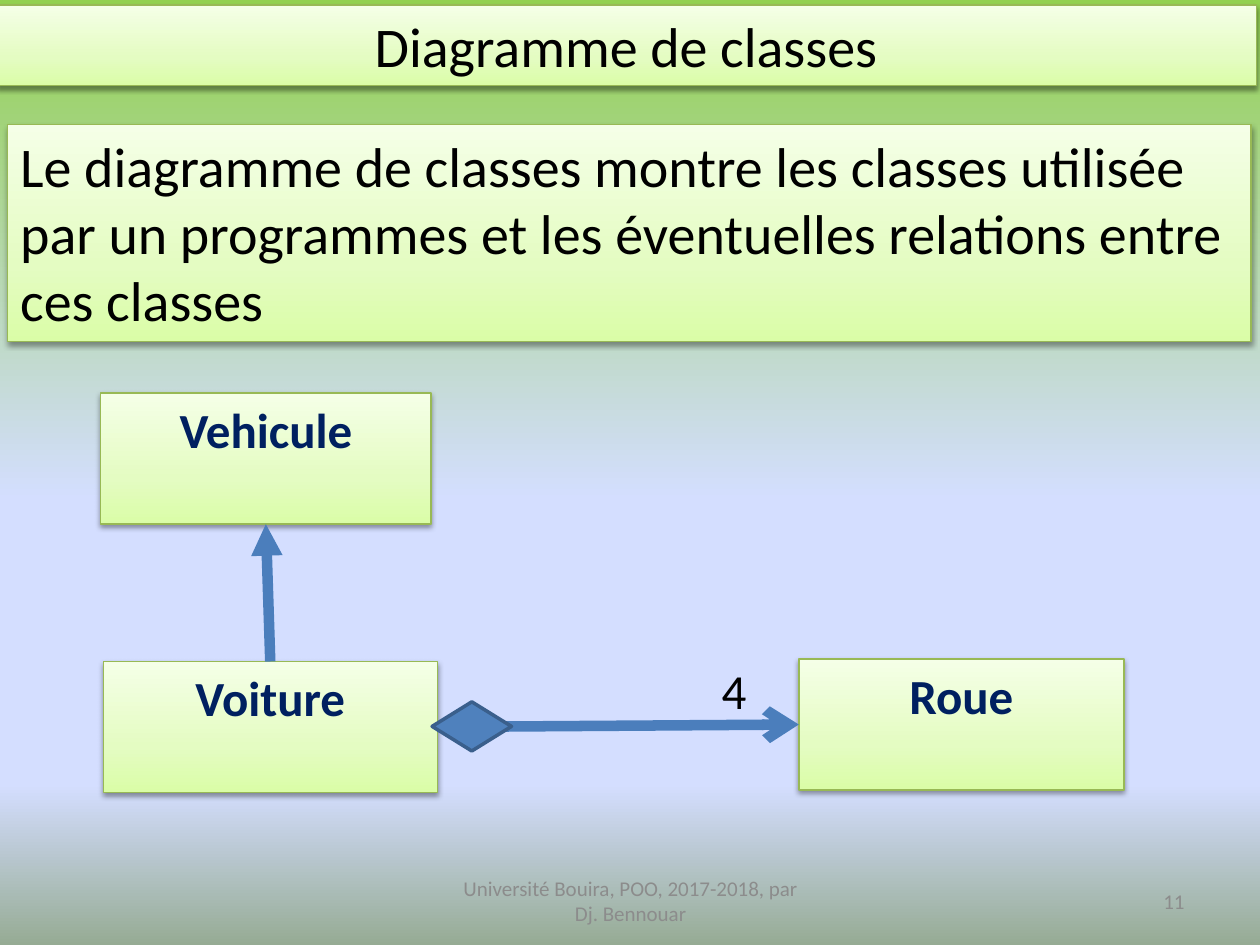
from dataclasses import dataclass

from lxml.etree import SubElement
from pptx import Presentation
from pptx.dml.color import RGBColor
from pptx.enum.shapes import MSO_CONNECTOR as Link, MSO_SHAPE as Preset
from pptx.enum.text import MSO_ANCHOR as Anchor, MSO_AUTO_SIZE as AutoSize, PP_ALIGN as Align
from pptx.oxml.ns import qn
from pptx.util import Inches, Pt


@dataclass(frozen=True)
class Theme:
    font: str = "Calibri"
    ink: str = "000000"
    class_ink: str = "002060"
    muted: str = "8C8C8C"
    panel_line: str = "98B955"
    link: str = "4B7EBC"
    diamond: str = "4F81BD"
    diamond_line: str = "3A5F8C"
    heading_size: int = 32
    class_size: int = 28
    footer_size: int = 12
    panel: tuple = ((0, "F5FFE7"), (65, "E4FCC2"), (100, "DAFDA7"))
    backdrop: tuple = ((0, "92D050"), (53, "D4DEFF"), (83, "D4DEFF"), (100, "96AB94"))


@dataclass(frozen=True)
class Area:
    left: float
    top: float
    width: float
    height: float

    def lengths(self) -> tuple:
        return tuple(Inches(v) for v in (self.left, self.top, self.width, self.height))


@dataclass(frozen=True)
class ClassBox:
    name: str
    area: Area


THEME = Theme()
CLASSES = (
    ClassBox("Roue", Area(6.34, 5.23, 2.58, 1.04)),
    ClassBox("Vehicule", Area(0.8, 3.12, 2.62, 1.04)),
    ClassBox("Voiture", Area(0.82, 5.25, 2.65, 1.04)),
)


def rgb(color: str) -> RGBColor:
    return RGBColor.from_string(color)


def paint_gradient(fill, element, stops: tuple) -> None:
    fill.gradient()
    fill.gradient_angle = 270
    stop_list = next(element.iter(qn("a:gsLst")))
    for old in list(stop_list):
        stop_list.remove(old)
    for position, color in stops:
        stop = SubElement(stop_list, qn("a:gs"), pos=str(position * 1000))
        SubElement(stop, qn("a:srgbClr"), val=color)


def write(shape, text: str, size: int, color: str, align=Align.LEFT,
          bold: bool = False, anchor=Anchor.TOP) -> None:
    frame = shape.text_frame
    frame.word_wrap = True
    frame.auto_size = AutoSize.NONE
    frame.vertical_anchor = anchor
    frame.text = text
    para = frame.paragraphs[0]
    para.alignment = align
    para.space_before = Pt(0)
    font = para.font
    font.name, font.size, font.bold = THEME.font, Pt(size), bold
    font.color.rgb = rgb(color)


def style_panel(shape) -> None:
    paint_gradient(shape.fill, shape._element, THEME.panel)
    shape.line.color.rgb = rgb(THEME.panel_line)
    shape.line.width = Pt(0.75)
    effects = SubElement(shape._element.spPr, qn("a:effectLst"))
    shadow = SubElement(effects, qn("a:outerShdw"), blurRad=str(Pt(3.1)),
                        dist=str(Pt(1.6)), dir="5400000", rotWithShape="0")
    tint = SubElement(shadow, qn("a:srgbClr"), val=THEME.ink)
    SubElement(tint, qn("a:alpha"), val="38000")


def place_heading(shape, area: Area, text: str, align) -> None:
    shape.left, shape.top, shape.width, shape.height = area.lengths()
    style_panel(shape)
    write(shape, text, THEME.heading_size, THEME.ink, align)


def add_class(page, item: ClassBox):
    box = page.shapes.add_shape(Preset.RECTANGLE, *item.area.lengths())
    style_panel(box)
    write(box, item.name, THEME.class_size, THEME.class_ink, Align.CENTER, bold=True)
    return box


def add_label(page, area: Area, text: str, size: int, color: str, **layout):
    box = page.shapes.add_textbox(*area.lengths())
    write(box, text, size, color, **layout)
    return box


def add_link(page, start, start_side: int, end, end_side: int, head: str) -> None:
    link = page.shapes.add_connector(Link.STRAIGHT, 0, 0, 0, 0)
    link.begin_connect(start, start_side)
    link.end_connect(end, end_side)
    link.line.color.rgb = rgb(THEME.link)
    link.line.width = Pt(6)
    SubElement(link.line._get_or_add_ln(), qn("a:tailEnd"), type=head)
    SubElement(link._element.spPr, qn("a:effectLst"))


def add_diamond(page, area: Area) -> None:
    diamond = page.shapes.add_shape(Preset.DIAMOND, *area.lengths())
    diamond.shadow.inherit = False
    diamond.fill.solid()
    diamond.fill.fore_color.rgb = rgb(THEME.diamond)
    diamond.line.color.rgb = rgb(THEME.diamond_line)
    diamond.line.width = Pt(2)


def main() -> None:
    deck = Presentation()
    deck.slide_width, deck.slide_height = Inches(10), Inches(7.5)
    page = deck.slides.add_slide(deck.slide_layouts[1])
    paint_gradient(page.background.fill, page._element, THEME.backdrop)

    place_heading(page.shapes.title, Area(-0.03, 0.04, 10, 0.64),
                  "Diagramme de classes", Align.CENTER)
    body = page.placeholders[1]
    place_heading(body, Area(0.06, 0.99, 9.87, 1.72),
                  "Le diagramme de classes montre les classes utilisée par un programmes "
                  "et les éventuelles relations entre ces classes", Align.LEFT)
    bullet = body.text_frame.paragraphs[0]._p.get_or_add_pPr()
    bullet.set("marL", "0")
    bullet.set("indent", "0")
    bullet.insert_element_before(bullet.makeelement(qn("a:buNone")), "a:tabLst", "a:defRPr")

    footer = add_label(page, Area(3.42, 6.95, 3.17, 0.4),
                       "Université Bouira, POO, 2017-2018, par Dj. Bennouar",
                       THEME.footer_size, THEME.muted, align=Align.CENTER, anchor=Anchor.MIDDLE)
    footer.text_frame.margin_left = footer.text_frame.margin_right = Inches(0.2)
    add_label(page, Area(7.17, 6.95, 2.33, 0.4), "11", THEME.footer_size, THEME.muted,
              align=Align.RIGHT, anchor=Anchor.MIDDLE)

    boxes = {item.name: add_class(page, item) for item in CLASSES}
    add_link(page, boxes["Voiture"], 0, boxes["Vehicule"], 2, "triangle")
    add_link(page, boxes["Voiture"], 3, boxes["Roue"], 1, "arrow")
    add_diamond(page, Area(3.43, 5.57, 0.63, 0.39))
    add_label(page, Area(5.63, 5.19, 0.63, 0.57), "4", THEME.class_size, THEME.ink)

    deck.save("out.pptx")


if __name__ == "__main__":
    main()
